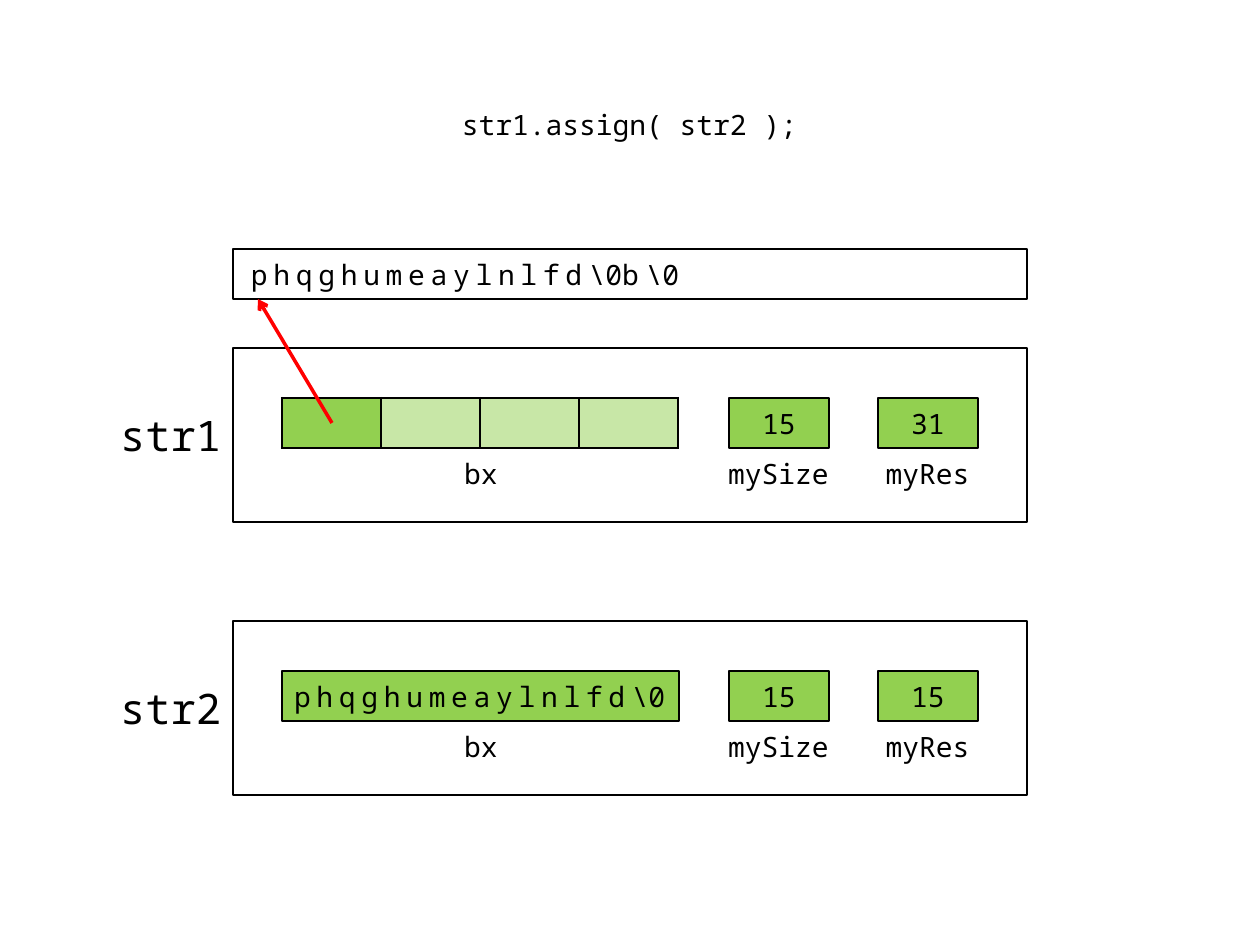
from lxml import etree
from pptx import Presentation, util as u
from pptx.dml.color import RGBColor
from pptx.enum import shapes, text
from pptx.oxml import parse_xml
from pptx.oxml.ns import nsdecls, qn

PX = 914400 // 126
BLACK, WHITE, GREEN, RED = "000000", "FFFFFF", "92D050", "FF0000"
KIND = shapes.MSO_SHAPE
ALIGN = text.PP_ALIGN


def write(box, spans, size=16, align=ALIGN.CENTER, left=12, right=12):
    """Fill a box with one paragraph of (text, letter spacing in points) spans."""
    frame = box.text_frame
    frame.word_wrap = True
    frame.vertical_anchor = text.MSO_ANCHOR.MIDDLE
    frame.margin_left, frame.margin_right = left * PX, right * PX
    frame.margin_top = frame.margin_bottom = 6 * PX
    para = frame.paragraphs[0]
    para.alignment = align
    para.space_before = u.Pt(0)
    for words, spacing in spans:
        span = para.add_run()
        span.text = words
        span.font.size = u.Pt(size)
        span.font.name = "Noto Sans Mono"
        span.font.color.rgb = RGBColor.from_string(BLACK)
        if spacing:
            span.font._element.set("spc", str(round(spacing * 100)))


def add_box(kind, left, top, width, height, fill=None):
    """Add an outlined shape, or a bare one when there is no fill."""
    box = page.shapes.add_shape(kind, left * PX, top * PX, width * PX, height * PX)
    box.shadow.inherit = False
    if fill:
        box.fill.solid()
        box.fill.fore_color.rgb = RGBColor.from_string(fill)
        box.line.color.rgb = RGBColor.from_string(BLACK)
        box.line.width = u.Pt(1.5)
    else:
        box.fill.background()
        box.line.fill.background()
    return box


deck = Presentation()
deck.slide_width, deck.slide_height = u.Inches(10), u.Inches(7.5)
page = deck.slides.add_slide(deck.slide_layouts[2])

# Statement shown at the top, in the body placeholder
title = page.shapes.title
title._element.getparent().remove(title._element)
statement = page.placeholders[1]
statement.left, statement.top = 431 * PX, 100 * PX
statement.width, statement.height = 397 * PX, 49 * PX
write(statement, [("str1.assign( str2 );", 0)])

# The two string objects
characters = [("phqghumeaylnlfd", 3.3), ("\\", -1.5), ("0", 0)]
for name, top, size, reserve in [("str2", 621, "15", "15"), ("str1", 348, "15", "31")]:
    caption = page.shapes.add_textbox(110 * PX, (top + 50) * PX, 123 * PX, 74 * PX)
    write(caption, [(name, 0)], 24, ALIGN.RIGHT, left=5)
    add_box(KIND.FLOWCHART_PROCESS, 233, top, 794, 174, WHITE)
    if name == "str2":
        buffer = add_box(KIND.RECTANGLE, 282, top + 50, 397, 50, GREEN)
        write(buffer, characters, align=ALIGN.LEFT, right=0)
    for value, left in [(size, 729), (reserve, 878)]:
        write(add_box(KIND.RECTANGLE, left, top + 50, 100, 50, GREEN), [(value, 0)])
    for label, left, width in [("bx", 431, 100), ("mySize", 704, 149), ("myRes", 853, 149)]:
        write(add_box(KIND.FLOWCHART_PROCESS, left, top + 100, width, 50), [(label, 0)])

# Pointer field of str1: four bytes, the first one in use
frame = page.shapes.add_table(1, 4, 282 * PX, 398 * PX, 396 * PX, 50 * PX)
table = frame.table
table.first_row = table.horz_banding = False
for index, cell in enumerate(table.rows[0].cells):
    table.columns[index].width = 99 * PX
    cell.margin_top = cell.margin_bottom = 0
    cell.text_frame.paragraphs[0].font.size = u.Pt(16)
    cell.fill.solid()
    cell.fill.fore_color.rgb = RGBColor.from_string(GREEN)
    props = cell._tc.get_or_add_tcPr()
    if index > 0:
        color = props.find(".//" + qn("a:srgbClr"))
        etree.SubElement(color, qn("a:alpha")).set("val", "50000")
    widths = {"L": 1 if index else 1.5, "R": 1.5 if index == 3 else 1, "T": 1.5, "B": 1.5}
    for place, (side, width) in enumerate(widths.items()):
        props.insert(place, parse_xml(
            f'<a:ln{side} {nsdecls("a")} w="{u.Pt(width)}"><a:solidFill>'
            f'<a:srgbClr val="{BLACK}"/></a:solidFill></a:ln{side}>'))

# Heap storage that str1 points to
storage = add_box(KIND.RECTANGLE, 233, 249, 794, 50, WHITE)
write(storage, characters + [("b", 3.8), ("\\", -1.5), ("0", 0)], align=ALIGN.LEFT, left=18)

# Pointer arrow
arrow = page.shapes.add_connector(
    shapes.MSO_CONNECTOR.STRAIGHT, 332 * PX, 423 * PX, 258 * PX, 299 * PX)
arrow.line.color.rgb = RGBColor.from_string(RED)
arrow.line.width = u.Pt(2)
etree.SubElement(arrow.line._get_or_add_ln(), qn("a:tailEnd")).set("type", "arrow")
etree.SubElement(arrow._element.spPr, qn("a:effectLst"))

deck.save("out.pptx")
